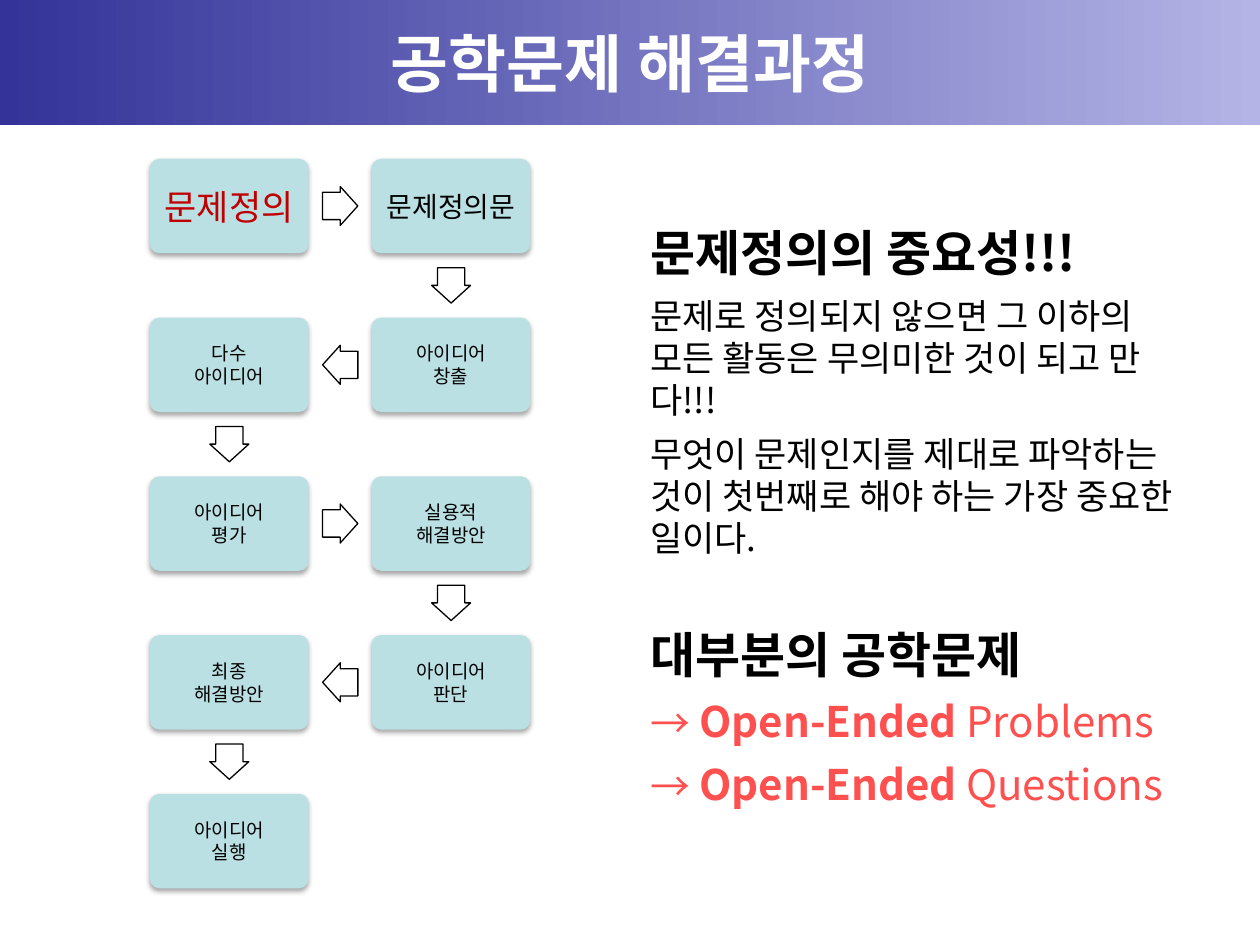
from dataclasses import dataclass

from lxml import etree
from pptx import Presentation
from pptx.dml.color import RGBColor
from pptx.enum import shapes, text
from pptx.oxml import ns
from pptx.util import Inches, Pt

FONT = "Noto Sans CJK KR"
INDIGO = RGBColor(0x33, 0x33, 0x99)
LAVENDER = RGBColor(0xB4, 0xB4, 0xE6)
AQUA = RGBColor(0xBB, 0xE0, 0xE3)
BLACK = RGBColor(0, 0, 0)
WHITE = RGBColor(0xFF, 0xFF, 0xFF)
DARK_RED = RGBColor(0xC0, 0, 0)
CORAL = RGBColor(0xFF, 0x50, 0x50)

# Flow grid: top-left corner, box size, distance between boxes, arrow size
LEFT, TOP = 1.19, 1.26
BOX_W, BOX_H = 1.26, 0.75
PITCH_X, PITCH_Y = 1.76, 1.26
ARROW_W, ARROW_H = 0.28, 0.31


@dataclass
class Step:
    label: str
    col: int
    row: int
    size: float = 10.8
    color: RGBColor = BLACK

    @property
    def center(self) -> tuple[float, float]:
        return (LEFT + self.col * PITCH_X + BOX_W / 2,
                TOP + self.row * PITCH_Y + BOX_H / 2)


@dataclass
class Para:
    pieces: list[tuple[str, bool]]  # wording, bold
    size: float
    color: RGBColor = BLACK
    before: float = 7
    arrow: bool = False


STEPS = [
    Step("문제정의", 0, 0, 20, DARK_RED),
    Step("문제정의문", 1, 0, 16),
    Step("아이디어\n창출", 1, 1),
    Step("다수\n아이디어", 0, 1),
    Step("아이디어\n평가", 0, 2),
    Step("실용적\n해결방안", 1, 2),
    Step("아이디어\n판단", 1, 3),
    Step("최종\n해결방안", 0, 3),
    Step("아이디어\n실행", 0, 4),
]

NOTES = [
    Para([("문제정의의 중요성!!!", True)], 28, before=0),
    Para([("문제로 정의되지 않으면 그 이하의 모든 활동은 무의미한 것이 되고 만다!!!", False)], 20),
    Para([("무엇이 문제인지를 제대로 파악하는 것이 첫번째로 해야 하는 가장 중요한 일이다.", False)], 20),
    Para([("대부분의 공학문제", True)], 28, before=38),
] + [
    Para([(" ", False), ("Open-Ended", True), (f" {noun}", False)], 24, CORAL, arrow=True)
    for noun in ("Problems", "Questions")
]


def style_run(r, size: float, color: RGBColor, bold: bool = False) -> None:
    r.font.name = FONT
    r.font.size = Pt(size)
    r.font.bold = bold
    r.font.color.rgb = color
    etree.SubElement(r._r.get_or_add_rPr(), ns.qn("a:ea"), typeface=FONT)


def set_frame(tf, anchor, inset: float = 0.05) -> None:
    tf.word_wrap = True
    tf.vertical_anchor = anchor
    tf.margin_left = tf.margin_right = Inches(inset)
    tf.margin_top = tf.margin_bottom = Inches(0.05)


def fill_centered(tf, wording: str, size: float, color: RGBColor, bold: bool = False) -> None:
    tf.text = wording
    for p in tf.paragraphs:
        p.alignment = text.PP_ALIGN.CENTER
        for r in p.runs:
            style_run(r, size, color, bold)


def add_soft_shadow(sp) -> None:
    sp.shadow.inherit = False
    effects = sp._element.spPr.find(ns.qn("a:effectLst"))
    shadow = etree.SubElement(effects, ns.qn("a:outerShdw"), blurRad=str(int(Pt(3))),
                              dist=str(int(Pt(1.8))), dir="5400000", rotWithShape="0")
    color = etree.SubElement(shadow, ns.qn("a:srgbClr"), val=str(BLACK))
    etree.SubElement(color, ns.qn("a:alpha"), val="35000")


def add_arrow_bullet(p) -> None:
    pPr = p._p.get_or_add_pPr()
    color = etree.SubElement(pPr, ns.qn("a:buClr"))
    etree.SubElement(color, ns.qn("a:srgbClr"), val=str(CORAL))
    etree.SubElement(pPr, ns.qn("a:buSzPct"), val="95000")
    etree.SubElement(pPr, ns.qn("a:buFont"), typeface=FONT)
    etree.SubElement(pPr, ns.qn("a:buChar"), char="→")


def add_title(s) -> None:
    sp = s.shapes.add_shape(shapes.MSO_SHAPE.RECTANGLE, 0, 0, Inches(10), Inches(0.99))
    sp.shadow.inherit = False
    sp.line.fill.background()
    sp.fill.gradient()
    sp.fill.gradient_angle = 0
    for stop, color in zip(sp.fill.gradient_stops, (INDIGO, LAVENDER)):
        stop.color.rgb = color
    set_frame(sp.text_frame, text.MSO_ANCHOR.MIDDLE)
    fill_centered(sp.text_frame, "공학문제 해결과정", 36, WHITE, True)


def add_step(s, step: Step) -> None:
    x, y = step.center
    sp = s.shapes.add_shape(shapes.MSO_SHAPE.ROUNDED_RECTANGLE,
                            Inches(x - BOX_W / 2), Inches(y - BOX_H / 2),
                            Inches(BOX_W), Inches(BOX_H))
    sp.adjustments[0] = 0.1
    sp.fill.solid()
    sp.fill.fore_color.rgb = AQUA
    sp.line.fill.background()
    add_soft_shadow(sp)
    set_frame(sp.text_frame, text.MSO_ANCHOR.MIDDLE, 0.07)
    fill_centered(sp.text_frame, step.label, step.size, step.color)


def add_arrow(s, start: Step, end: Step) -> None:
    (x1, y1), (x2, y2) = start.center, end.center
    sp = s.shapes.add_shape(shapes.MSO_SHAPE.RIGHT_ARROW,
                            Inches((x1 + x2 - ARROW_W) / 2), Inches((y1 + y2 - ARROW_H) / 2),
                            Inches(ARROW_W), Inches(ARROW_H))
    sp.adjustments[0], sp.adjustments[1] = 0.7, 0.5
    if end.row > start.row:
        sp.rotation = 90
    elif end.col < start.col:
        sp.rotation = 180
    sp.shadow.inherit = False
    sp.fill.background()
    sp.line.color.rgb = BLACK
    sp.line.width = Pt(0.75)


def add_notes(s) -> None:
    sp = s.shapes.add_textbox(Inches(5.11), Inches(1.72), Inches(4.42), Inches(4.59))
    tf = sp.text_frame
    set_frame(tf, text.MSO_ANCHOR.TOP)
    for i, para in enumerate(NOTES):
        p = tf.add_paragraph() if i else tf.paragraphs[0]
        p.space_before = Pt(para.before)
        if para.arrow:
            add_arrow_bullet(p)
        for wording, bold in para.pieces:
            r = p.add_run()
            r.text = wording
            style_run(r, para.size, para.color, bold)


def main() -> None:
    prs = Presentation()
    prs.slide_width, prs.slide_height = Inches(10), Inches(7.5)
    s = prs.slides.add_slide(prs.slide_layouts[6])

    # Title band and explanation
    add_title(s)
    add_notes(s)

    # Process flow
    for step in STEPS:
        add_step(s, step)
    for start, end in zip(STEPS, STEPS[1:]):
        add_arrow(s, start, end)

    prs.save("out.pptx")


if __name__ == "__main__":
    main()
